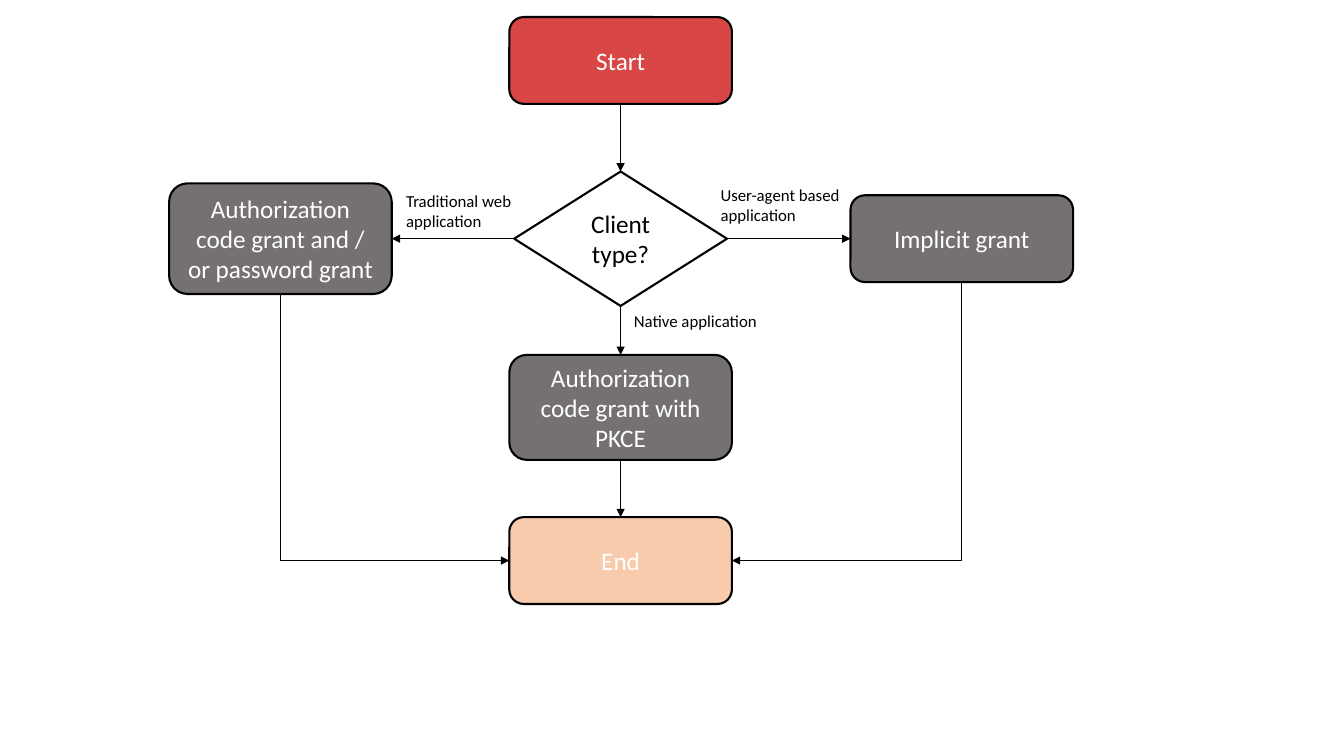
from lxml import etree
from pptx import Presentation
from pptx.dml.color import RGBColor
from pptx.enum import shapes, text
from pptx.oxml import ns
from pptx.util import Pt

BLACK = RGBColor(0x00, 0x00, 0x00)
WHITE = RGBColor(0xFF, 0xFF, 0xFF)
RED = RGBColor(0xD8, 0x46, 0x46)
GREY = RGBColor(0x76, 0x71, 0x71)
PEACH = RGBColor(0xF8, 0xCB, 0xAD)

# Connection sites shared by rounded rectangles and diamonds
TOP, LEFT, BOTTOM, RIGHT = range(4)

# Centre lines of the flowchart
LEFT_X, MIDDLE_X, RIGHT_X = 200.3, 443.3, 687
START_Y, DECISION_Y, PKCE_Y, END_Y = 43.2, 170.5, 291, 400.4


class Flowchart:
    font = "Calibri"
    node_size = 18
    label_size = 12
    outline = 1.5
    arrow_width = 0.5
    box_width = 159
    box_height = 62

    def __init__(self, slide):
        self.slide = slide

    def add_text(self, frame, words, size, color, alignment):
        frame.word_wrap = True
        paragraph = frame.paragraphs[0]
        paragraph.alignment = alignment
        run = paragraph.add_run()
        run.text = words
        run.font.name = self.font
        run.font.size = Pt(size)
        run.font.color.rgb = color

    def node(self, words, center_x, center_y, fill=None, color=WHITE,
             kind=shapes.MSO_SHAPE.ROUNDED_RECTANGLE,
             width=box_width, height=box_height):
        shape = self.slide.shapes.add_shape(
            kind, Pt(center_x - width / 2), Pt(center_y - height / 2),
            Pt(width), Pt(height))
        shape.shadow.inherit = False
        if fill is None:
            shape.fill.background()
        else:
            shape.fill.solid()
            shape.fill.fore_color.rgb = fill
        shape.line.color.rgb = BLACK
        shape.line.width = Pt(self.outline)
        shape.text_frame.vertical_anchor = text.MSO_ANCHOR.MIDDLE
        self.add_text(shape.text_frame, words, self.node_size, color,
                      text.PP_ALIGN.CENTER)
        return shape

    def label(self, words, left, top, height=36):
        box = self.slide.shapes.add_textbox(
            Pt(left), Pt(top), Pt(112), Pt(height))
        self.add_text(box.text_frame, words, self.label_size, BLACK,
                      text.PP_ALIGN.LEFT)

    def arrow(self, source, source_site, target, target_site,
              kind=shapes.MSO_CONNECTOR.STRAIGHT):
        connector = self.slide.shapes.add_connector(kind, 0, 0, 0, 0)
        connector.begin_connect(source, source_site)
        connector.end_connect(target, target_site)
        connector.line.color.rgb = BLACK
        connector.line.width = Pt(self.arrow_width)
        properties = connector._element.spPr
        line = properties.find(ns.qn("a:ln"))
        etree.SubElement(line, ns.qn("a:tailEnd"), type="triangle")
        etree.SubElement(properties, ns.qn("a:effectLst"))
        return connector

    def corner_arrow(self, source, target, target_site):
        """Runs down from the source, then sideways into the target."""
        connector = self.arrow(source, BOTTOM, target, target_site,
                               shapes.MSO_CONNECTOR.ELBOW)
        across = connector.end_x - connector.begin_x
        down = connector.end_y - connector.begin_y
        center_x = connector.begin_x + across // 2
        center_y = connector.begin_y + down // 2
        # A quarter turn swaps the width and height of the frame
        connector.width, connector.height = down, abs(across)
        connector.left = center_x - down // 2
        connector.top = center_y - abs(across) // 2
        properties = connector._element.spPr
        frame = properties.find(ns.qn("a:xfrm"))
        frame.set("rot", "16200000" if across > 0 else "5400000")
        frame.set("flipH", "1" if across > 0 else "0")
        properties.find(ns.qn("a:prstGeom")).set("prst", "bentConnector2")


presentation = Presentation()
presentation.slide_width = Pt(960)
presentation.slide_height = Pt(540)
chart = Flowchart(presentation.slides.add_slide(presentation.slide_layouts[6]))

# Steps and decision
start = chart.node("Start", MIDDLE_X, START_Y, RED)
end = chart.node("End", MIDDLE_X, END_Y, PEACH)
implicit = chart.node("Implicit grant", RIGHT_X, DECISION_Y, GREY)
client_type = chart.node("Client type?", MIDDLE_X, DECISION_Y, color=BLACK,
                         kind=shapes.MSO_SHAPE.DIAMOND, width=152, height=96)
code_grant = chart.node("Authorization code grant and / or password grant",
                        LEFT_X, DECISION_Y, GREY, height=79)
pkce = chart.node("Authorization code grant with PKCE",
                  MIDDLE_X, PKCE_Y, GREY, height=75)

# Straight arrows
for source, source_site, target, target_site in (
        (start, BOTTOM, client_type, TOP),
        (client_type, RIGHT, implicit, LEFT),
        (client_type, LEFT, code_grant, RIGHT),
        (client_type, BOTTOM, pkce, TOP),
        (pkce, BOTTOM, end, TOP)):
    chart.arrow(source, source_site, target, target_site)

# Outer branches down to the end
chart.corner_arrow(code_grant, end, LEFT)
chart.corner_arrow(implicit, end, RIGHT)

# Branch labels
chart.label("User-agent based application", 507.6, 128.2)
chart.label("Traditional web application", 283, 132.5)
chart.label("Native application", 445.7, 218.2, height=22)

presentation.save("out.pptx")
